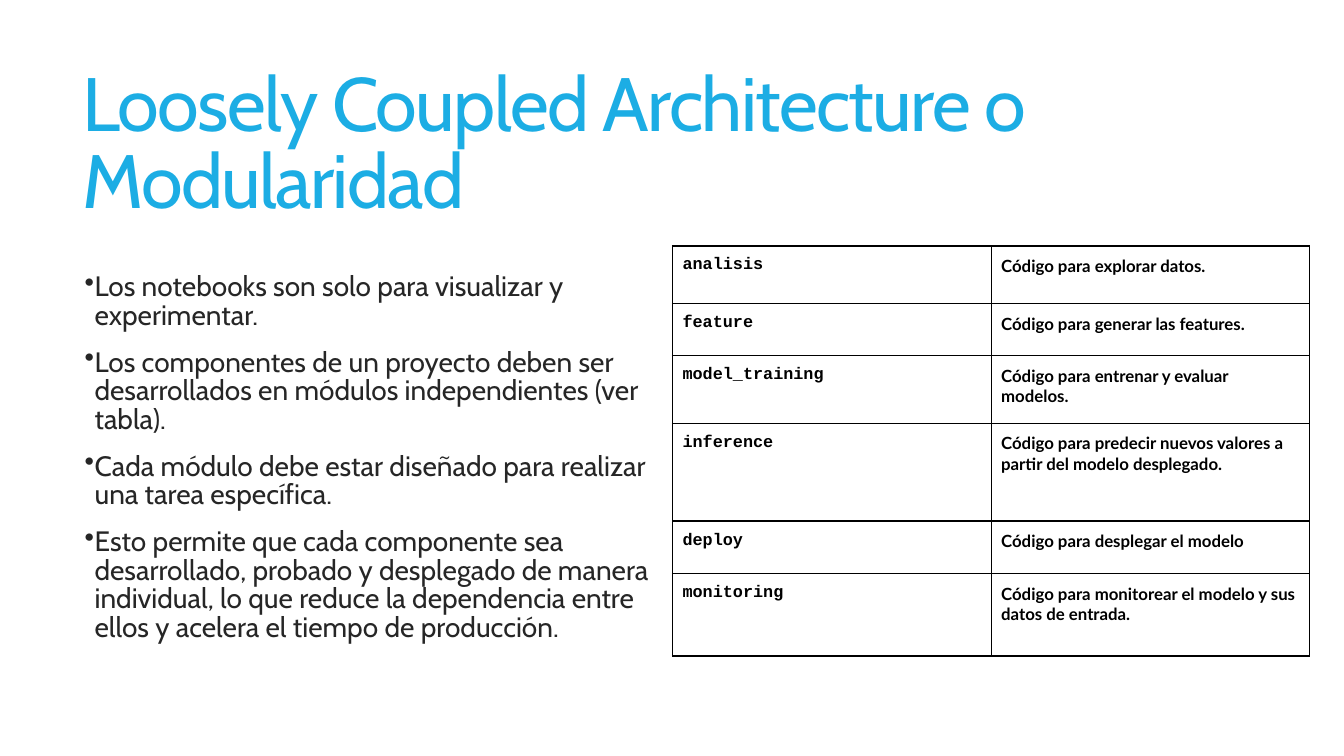
"""Build a slide on modular architecture with bullets and a module table."""
import pptx
import pptx.dml.color
import pptx.enum.text
import pptx.oxml.ns
import pptx.util
from lxml import etree

Inches = pptx.util.Inches
Pt = pptx.util.Pt
qn = pptx.oxml.ns.qn

COLORS = {"title": "1CADE4", "body": "262626", "table": "000000"}
POINTS = [
    "Los notebooks son solo para visualizar y experimentar.",
    "Los componentes de un proyecto deben ser desarrollados en módulos independientes (ver tabla).",
    "Cada módulo debe estar diseñado para realizar una tarea específica.",
    "Esto permite que cada componente sea desarrollado, probado y desplegado de manera individual, "
    "lo que reduce la dependencia entre ellos y acelera el tiempo de producción.",
]
ROWS = [
    (0.57, "analisis", "Código para explorar datos."),
    (0.52, "feature", "Código para generar las features."),
    (0.67, "model_training", "Código para entrenar y evaluar modelos."),
    (0.97, "inference", "Código para predecir nuevos valores a partir del modelo desplegado."),
    (0.52, "deploy", "Código para desplegar el modelo"),
    (0.82, "monitoring", "Código para monitorear el modelo y sus datos de entrada."),
]


def style(para, face, size, color, bold=False):
    font = para.font
    font.name = face
    font.size = Pt(size)
    font.bold = bold
    font.color.rgb = pptx.dml.color.RGBColor.from_string(COLORS[color])


def add_box(left, top, width, height):
    box = slide.shapes.add_textbox(Inches(left), Inches(top), Inches(width), Inches(height))
    box.text_frame.word_wrap = True
    return box.text_frame


deck = pptx.Presentation()
deck.slide_width = Inches(13.33)
deck.slide_height = Inches(7.5)
slide = deck.slides.add_slide(deck.slide_layouts[6])

title = add_box(0.72, 0.55, 11.78, 1.81)
title.vertical_anchor = pptx.enum.text.MSO_ANCHOR.MIDDLE
head = title.paragraphs[0]
run = head.add_run()
run.text = "Loosely Coupled Architecture o Modularidad"
run.font._element.set("spc", "-120")
head.line_spacing = 0.85
style(head, "Cabin", 54, "title")

body = add_box(0.74, 2.67, 5.8, 4.12)
for i, text in enumerate(POINTS):
    para = body.add_paragraph() if i else body.paragraphs[0]
    para.text = text
    para.line_spacing = 0.85
    para.space_before = Pt(13 if i else 0)
    props = para._p.get_or_add_pPr()
    props.set("marL", str(Inches(0.1)))
    props.set("indent", str(-Inches(0.1)))
    etree.SubElement(props, qn("a:buChar")).set("char", "•")
    style(para, "Cabin", 20, "body")

high = sum(row[0] for row in ROWS)
frame = slide.shapes.add_table(len(ROWS), 2, Inches(6.67), Inches(2.44), Inches(6.33), Inches(high))
table = frame.table
table.first_row = False
table.horz_banding = False
for col in table.columns:
    col.width = Inches(3.16)

for row, (tall, *texts) in zip(table.rows, ROWS):
    row.height = Inches(tall)
    for cell, text, face in zip(row.cells, texts, ("Courier New", "Lato")):
        cell.text = text
        cell.margin_left = cell.margin_right = Inches(0.1)
        cell.margin_top = cell.margin_bottom = Inches(0.1)
        style(cell.text_frame.paragraphs[0], face, 12, "table", True)
        props = cell._tc.get_or_add_tcPr()
        for side in ("lnL", "lnR", "lnT", "lnB"):
            line = etree.SubElement(props, qn("a:" + side), w=str(Pt(1)))
            fill = etree.SubElement(line, qn("a:solidFill"))
            etree.SubElement(fill, qn("a:srgbClr"), val=COLORS["table"])
        cell.fill.background()

deck.save("out.pptx")
